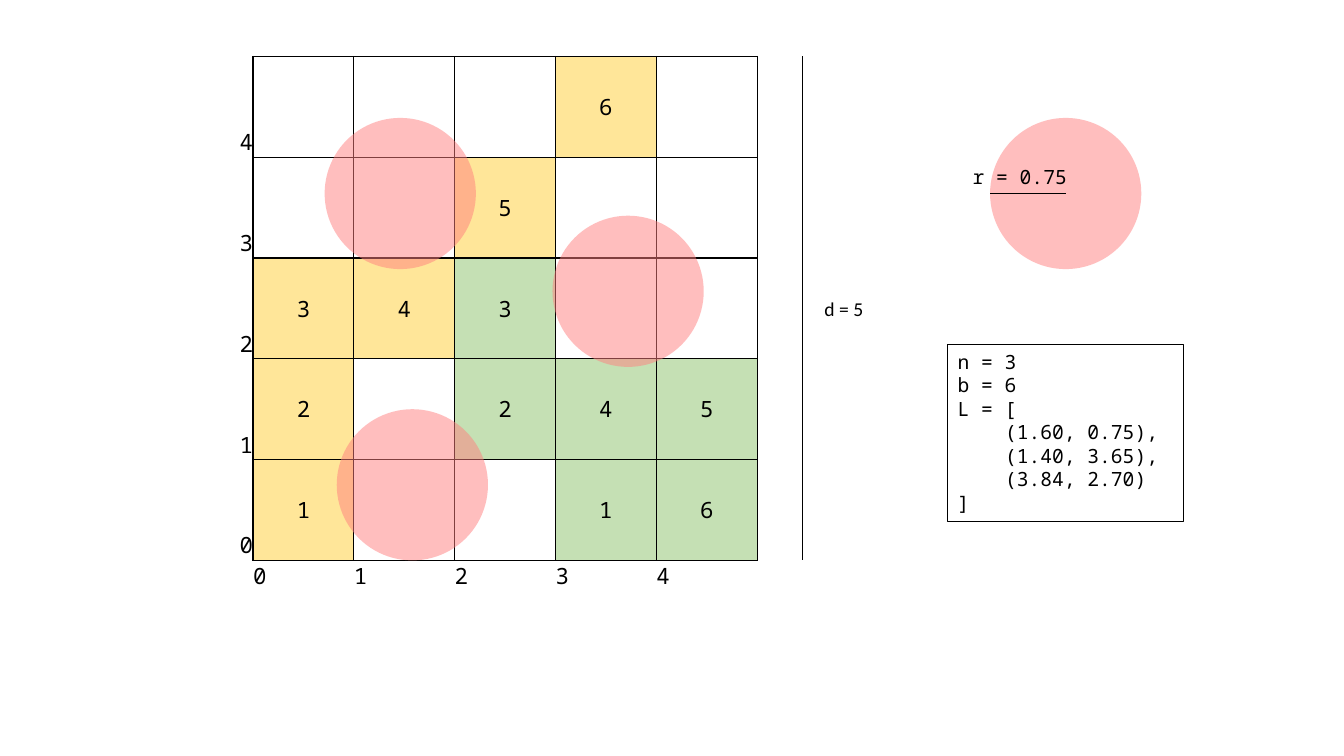
from typing import Any, NamedTuple

from pptx import Presentation
from pptx.dml.color import RGBColor
from pptx.enum.shapes import MSO_CONNECTOR, MSO_SHAPE
from pptx.enum.text import MSO_ANCHOR, MSO_AUTO_SIZE, PP_ALIGN
from pptx.oxml.ns import qn
from pptx.util import Emu, Pt
from lxml import etree

LEFT, CENTER, RIGHT = PP_ALIGN.LEFT, PP_ALIGN.CENTER, PP_ALIGN.RIGHT
TOP, MIDDLE, BOTTOM = MSO_ANCHOR.TOP, MSO_ANCHOR.MIDDLE, MSO_ANCHOR.BOTTOM
GROW = MSO_AUTO_SIZE.SHAPE_TO_FIT_TEXT
OVAL, RECT = MSO_SHAPE.OVAL, MSO_SHAPE.RECTANGLE
STRAIGHT = MSO_CONNECTOR.STRAIGHT

EMU_PER_PX = 9144
MONO, SANS = "Noto Sans Mono", "Calibri"
BLACK, YELLOW, GREEN, PINK = "000000", "FFE699", "C5E0B4", "FF7F7F"
CELL, SIZE = 100, 5
GRID_X, GRID_Y = 151, 56
DIAMETER = 150
CODE_INDENT = 47


class Circle(NamedTuple):
    x: int
    y: int


class Segment(NamedTuple):
    x1: int
    y1: int
    x2: int
    y2: int


class Label(NamedTuple):
    x: int
    y: int
    w: int
    h: int
    text: str
    font: str


class Route(NamedTuple):
    color: str
    squares: list[tuple[int, int]]


ROUTES = [
    Route(YELLOW, [(0, 0), (0, 1), (0, 2), (1, 2), (2, 3), (3, 4)]),
    Route(GREEN, [(3, 0), (2, 1), (2, 2), (3, 1), (4, 1), (4, 0)]),
]
CIRCLES = [Circle(322, 117), Circle(334, 406), Circle(548, 214), Circle(982, 117)]
SEGMENTS = [Segment(796, 56, 796, 556), Segment(1057, 192, 982, 192)]
LABELS = [
    Label(798, 290, 78, 34, "d = 5", SANS),
    Label(951, 159, 121, 34, "r = 0.75", MONO),
]
CODE = [
    ("n = 3", 0),
    ("b = 6", 0),
    ("L = [", 0),
    ("(1.60, 0.75),", 1),
    ("(1.40, 3.65),", 1),
    ("(3.84, 2.70)", 1),
    ("]", 0),
]


def px(n: int) -> Emu:
    return Emu(n * EMU_PER_PX)


def rgb(color: str) -> RGBColor:
    return RGBColor.from_string(color)


def apply(obj: Any, values: dict[str, Any]) -> None:
    for name, value in values.items():
        setattr(obj, name, value)


def write(p: Any, text: str, font: str, size: int, align: Any) -> None:
    p.alignment = align
    r = p.add_run()
    r.text = text
    apply(r.font, {"name": font, "size": Pt(size)})
    r.font.color.rgb = rgb(BLACK)


def set_borders(cell: Any, sides: str) -> None:
    tc_pr = cell._tc.get_or_add_tcPr()
    for side in "LRTB":
        ln = etree.SubElement(tc_pr, qn(f"a:ln{side}"), w=str(Pt(1)))
        if side in sides:
            fill = etree.SubElement(ln, qn("a:solidFill"))
            etree.SubElement(fill, qn("a:srgbClr"), val=BLACK)
        else:
            etree.SubElement(ln, qn("a:noFill"))


def write_cell(cell: Any, text: str, align: Any, anchor: Any, mx: int, my: int) -> None:
    apply(cell, {
        "vertical_anchor": anchor,
        "margin_left": px(mx), "margin_right": px(mx),
        "margin_top": px(my), "margin_bottom": px(my),
    })
    write(cell.text_frame.paragraphs[0], text, MONO, 16, align)


def add_grid(s: Any) -> None:
    n = SIZE + 1
    frame = s.shapes.add_table(n, n, px(GRID_X), px(GRID_Y), px(n * CELL), px(n * CELL))
    table = frame.table
    apply(table, {"first_row": False, "horz_banding": False})
    for row in range(n):
        for col in range(n):
            cell = table.cell(row, col)
            if row == SIZE:
                sides = "T" if col else ""
            else:
                sides = "LRTB" if col else "R"
            set_borders(cell, sides)
            cell.fill.background()
    for i in range(SIZE):
        write_cell(table.cell(SIZE - 1 - i, 0), str(i), RIGHT, BOTTOM, 0, 0)
        write_cell(table.cell(SIZE, i + 1), str(i), LEFT, TOP, 0, 0)
    for route in ROUTES:
        for step, (x, y) in enumerate(route.squares, 1):
            cell = table.cell(SIZE - 1 - y, x + 1)
            cell.fill.solid()
            cell.fill.fore_color.rgb = rgb(route.color)
            write_cell(cell, str(step), CENTER, MIDDLE, 28, 14)


def add_circle(s: Any, circle: Circle) -> None:
    sp = s.shapes.add_shape(OVAL, px(circle.x), px(circle.y), px(DIAMETER), px(DIAMETER))
    sp.shadow.inherit = False
    sp.line.fill.background()
    sp.fill.solid()
    sp.fill.fore_color.rgb = rgb(PINK)
    clr = sp._element.spPr.find(f".//{qn('a:srgbClr')}")
    etree.SubElement(clr, qn("a:alpha"), val="50000")


def add_segment(s: Any, seg: Segment) -> None:
    line = s.shapes.add_connector(STRAIGHT, *map(px, seg))
    line.line.color.rgb = rgb(BLACK)
    line.line.width = Pt(0.5)
    etree.SubElement(line._element.spPr, qn("a:effectLst"))


def add_label(s: Any, label: Label) -> None:
    tf = s.shapes.add_textbox(px(label.x), px(label.y), px(label.w), px(label.h)).text_frame
    apply(tf, {"word_wrap": True, "auto_size": GROW})
    write(tf.paragraphs[0], label.text, label.font, 14, CENTER)


def add_code(s: Any) -> None:
    sp = s.shapes.add_shape(RECT, px(940), px(342), px(234), px(175))
    sp.shadow.inherit = False
    sp.fill.background()
    sp.line.color.rgb = rgb(BLACK)
    sp.line.width = Pt(0.75)
    tf = sp.text_frame
    apply(tf, {"word_wrap": True, "auto_size": GROW, "vertical_anchor": TOP})
    for i, (text, level) in enumerate(CODE):
        p = tf.add_paragraph() if i else tf.paragraphs[0]
        write(p, text, MONO, 14, LEFT)
        p._p.get_or_add_pPr().set("marL", str(px(level * CODE_INDENT)))


def main() -> None:
    prs = Presentation()
    apply(prs, {"slide_width": px(1333), "slide_height": px(750)})
    s = prs.slides.add_slide(prs.slide_layouts[6])
    add_grid(s)
    for circle in CIRCLES:
        add_circle(s, circle)
    for seg in SEGMENTS:
        add_segment(s, seg)
    for label in LABELS:
        add_label(s, label)
    add_code(s)
    prs.save("out.pptx")


if __name__ == "__main__":
    main()
